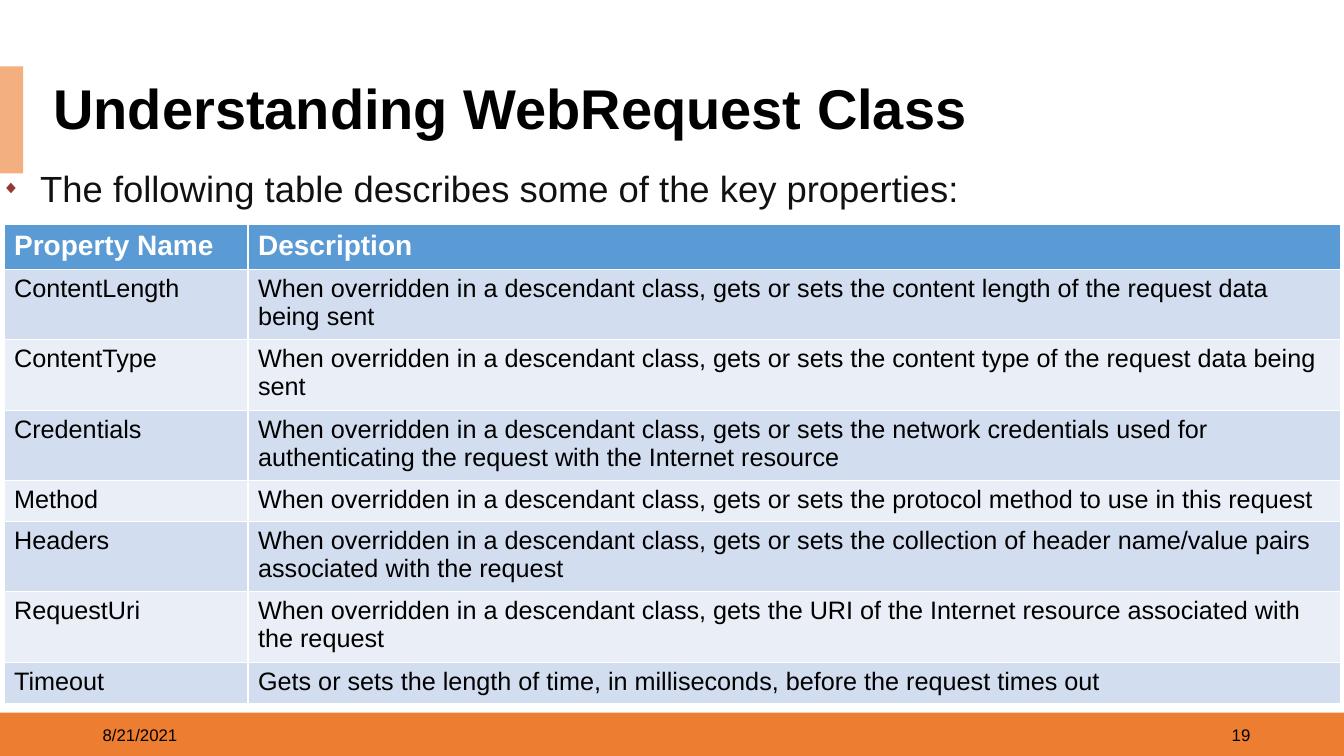
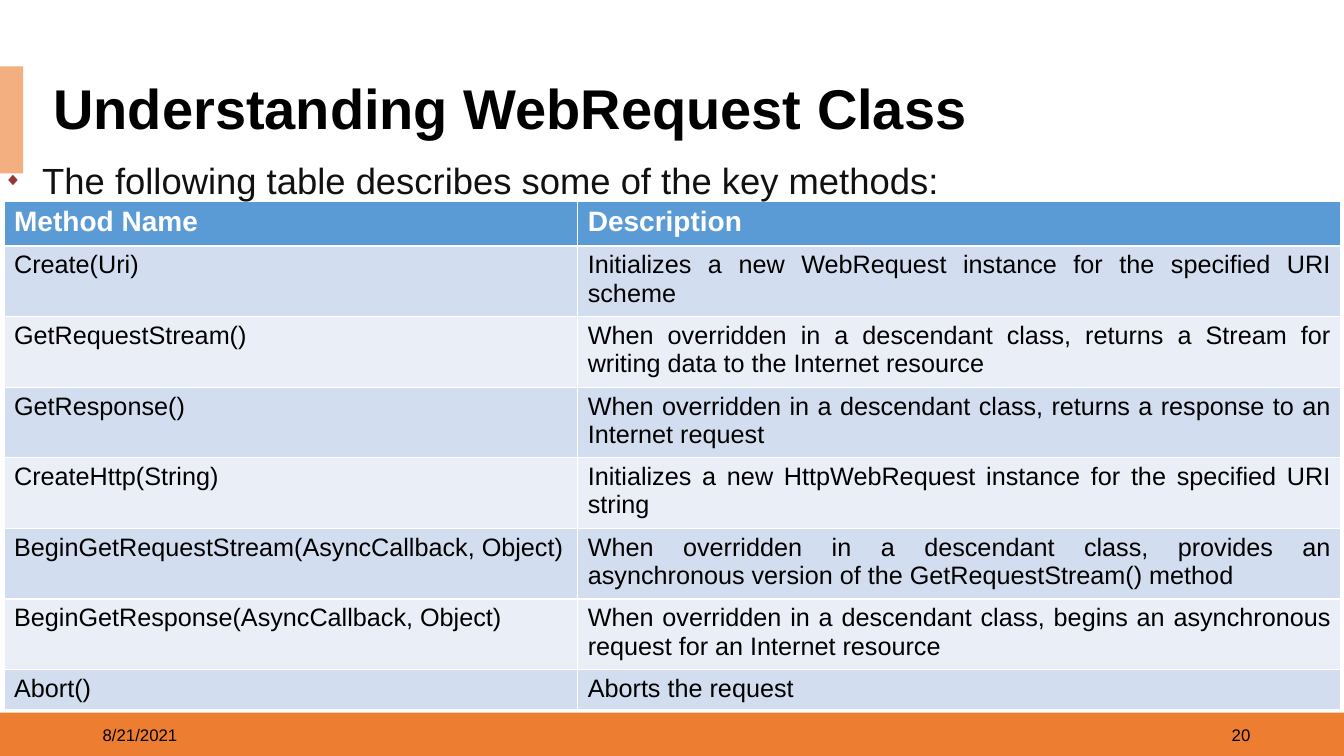
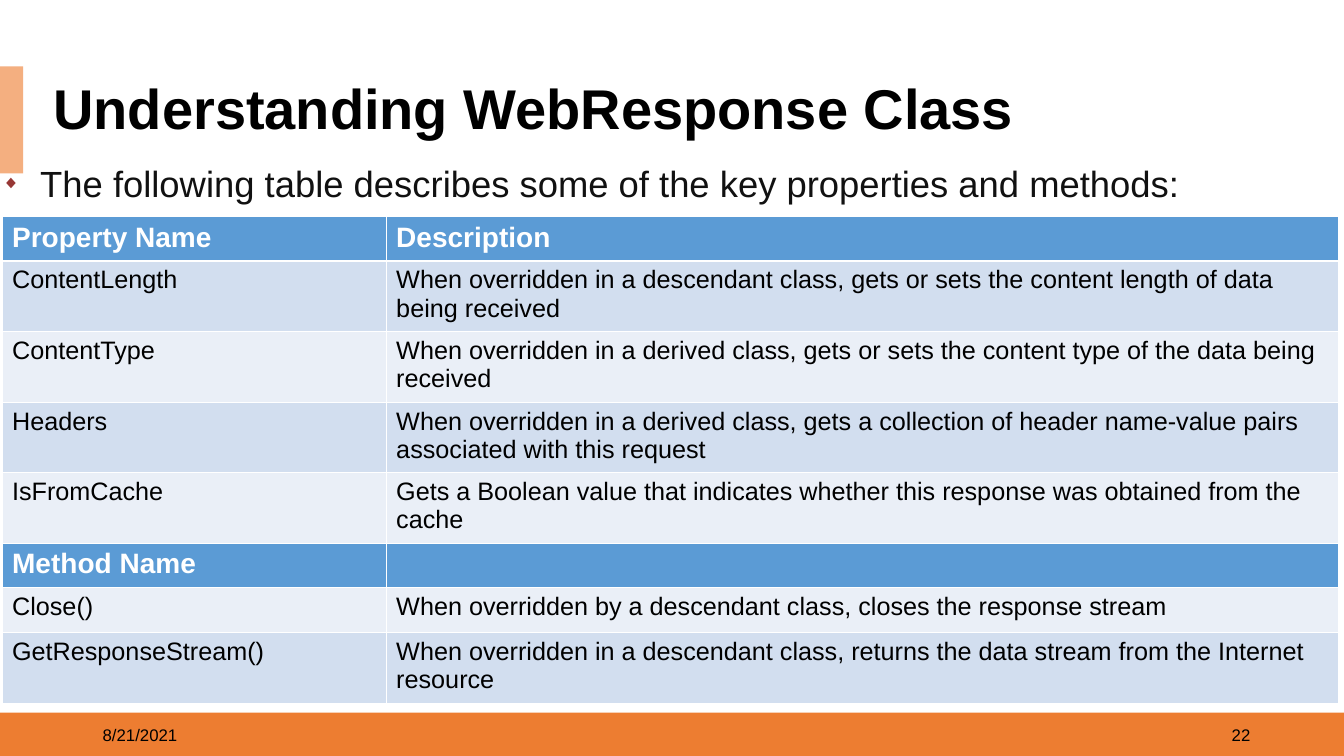
from lxml.etree import SubElement
from pptx import Presentation
from pptx.dml.color import RGBColor
from pptx.enum.shapes import MSO_SHAPE
from pptx.enum.text import MSO_ANCHOR, PP_ALIGN
from pptx.oxml.ns import qn
from pptx.util import Pt

PX = 9144  # EMU per px, 100 px to the inch
COLORS = {
    "band": "ED7D31", "tab": "F4AF80", "white": "FFFFFF", "black": "000000",
    "body": "111111", "bullet": "973735",
    "header": "5B9BD5", "odd": "D2DEEF", "even": "EAEFF7",
}
DATE = "8/21/2021"
BANDS = [((0, 707, 1333, 44), "band"), ((0, 66, 23, 106), "tab")]

SLIDES = [
    {
        "title": "Understanding WebRequest Class",
        "number": "19",
        "lead": "The following table describes some of the key properties:",
        "lead_box": (-8, 160, 1259, 54),
        "table_at": (4, 223),
        "cols": (242, 1084),
        "heights": (44, 66, 66, 66, 39, 66, 66, 41),
        "align": PP_ALIGN.LEFT,
        "headers": (0,),
        "rows": [
            ("Property Name", "Description"),
            ("ContentLength", "When overridden in a descendant class, gets or sets the content length of the request data being sent"),
            ("ContentType", "When overridden in a descendant class, gets or sets the content type of the request data being sent"),
            ("Credentials", "When overridden in a descendant class, gets or sets the network credentials used for authenticating the request with the Internet resource"),
            ("Method", "When overridden in a descendant class, gets or sets the protocol method to use in this request"),
            ("Headers", "When overridden in a descendant class, gets or sets the collection of header name/value pairs associated with the request"),
            ("RequestUri", "When overridden in a descendant class, gets the URI of the Internet resource associated with the request"),
            ("Timeout", "Gets or sets the length of time, in milliseconds, before the request times out"),
        ],
    },
    {
        "title": "Understanding WebRequest Class",
        "number": "20",
        "lead": "The following table describes some of the key methods:",
        "lead_box": (-6, 152, 1028, 54),
        "table_at": (4, 200),
        "cols": (569, 757),
        "heights": (44, 66, 66, 66, 66, 66, 66, 38),
        "align": PP_ALIGN.JUSTIFY,
        "headers": (0,),
        "rows": [
            ("Method Name", "Description"),
            ("Create(Uri)", "Initializes a new WebRequest instance for the specified URI scheme"),
            ("GetRequestStream()", "When overridden in a descendant class, returns a Stream for writing data to the Internet resource"),
            ("GetResponse()", "When overridden in a descendant class, returns a response to an Internet request"),
            ("CreateHttp(String)", "Initializes a new HttpWebRequest instance for the specified URI string"),
            ("BeginGetRequestStream(AsyncCallback, Object)", "When overridden in a descendant class, provides an asynchronous version of the GetRequestStream() method"),
            ("BeginGetResponse(AsyncCallback, Object)", "When overridden in a descendant class, begins an asynchronous request for an Internet resource"),
            ("Abort()", "Aborts the request"),
        ],
    },
    {
        "title": "Understanding WebResponse Class",
        "number": "22",
        "lead": "The following table describes some of the key properties and methods:",
        "lead_box": (-8, 155, 1259, 54),
        "table_at": (2, 215),
        "cols": (381, 945),
        "heights": (44, 66, 66, 66, 66, 41, 45, 66),
        "align": PP_ALIGN.LEFT,
        "headers": (0, 5),
        "rows": [
            ("Property Name", "Description"),
            ("ContentLength", "When overridden in a descendant class, gets or sets the content length of data being received"),
            ("ContentType", "When overridden in a derived class, gets or sets the content type of the data being received"),
            ("Headers", "When overridden in a derived class, gets a collection of header name-value pairs associated with this request"),
            ("IsFromCache", "Gets a Boolean value that indicates whether this response was obtained from the cache"),
            ("Method Name", ""),
            ("Close()", "When overridden by a descendant class, closes the response stream"),
            ("GetResponseStream()", "When overridden in a descendant class, returns the data stream from the Internet resource"),
        ],
    },
]


def emu(*lengths):
    return [n * PX for n in lengths]


def write(tf, text, size=18, color="black", bold=False, align=PP_ALIGN.LEFT, anchor=MSO_ANCHOR.TOP):
    """Put one formatted paragraph in a text frame and return it."""
    tf.word_wrap = True
    tf.vertical_anchor = anchor
    p = tf.paragraphs[0]
    p.alignment = align
    if text:
        r = p.add_run()
        r.text = text
        r.font.name = "Arial"
        r.font.size = Pt(size)
        r.font.bold = bold
        r.font.color.rgb = RGBColor.from_string(COLORS[color])
    return p


prs = Presentation()
prs.slide_width, prs.slide_height = emu(1333, 750)

for data in SLIDES:
    s = prs.slides.add_slide(prs.slide_layouts[5])

    for box, color in BANDS:
        sp = s.shapes.add_shape(MSO_SHAPE.RECTANGLE, *emu(*box))
        sp.shadow.inherit = False
        sp.fill.solid()
        sp.fill.fore_color.rgb = RGBColor.from_string(COLORS[color])
        sp.line.fill.background()

    for left, text, align in ((92, DATE, PP_ALIGN.LEFT), (950, data["number"], PP_ALIGN.RIGHT)):
        sp = s.shapes.add_textbox(*emu(left, 709, 300, 40))
        write(sp.text_frame, text, size=12, align=align, anchor=MSO_ANCHOR.MIDDLE)

    title = s.shapes.title
    title.left, title.top, title.width, title.height = emu(43, 79, 1278, 63)
    title.fill.solid()
    title.fill.fore_color.rgb = RGBColor.from_string(COLORS["white"])
    p = write(title.text_frame, data["title"], size=40, bold=True, anchor=MSO_ANCHOR.MIDDLE)
    p.line_spacing = 0.9

    rows, cols, heights = data["rows"], data["cols"], data["heights"]
    box = (*data["table_at"], sum(cols), sum(heights))
    table = s.shapes.add_table(len(rows), len(cols), *emu(*box)).table
    for column, width in zip(table.columns, cols):
        column.width = width * PX
    for i, (row, height) in enumerate(zip(rows, heights)):
        table.rows[i].height = height * PX
        is_header = i in data["headers"]
        fill = "header" if is_header else "odd" if i % 2 else "even"
        for j, text in enumerate(row):
            cell = table.cell(i, j)
            cell.fill.solid()
            cell.fill.fore_color.rgb = RGBColor.from_string(COLORS[fill])
            if is_header:
                write(cell.text_frame, text, size=20, color="white", bold=True)
            else:
                write(cell.text_frame, text, align=data["align"])

    sp = s.shapes.add_textbox(*emu(*data["lead_box"]))
    p = write(sp.text_frame, data["lead"], size=26, color="body", align=PP_ALIGN.JUSTIFY)
    p.space_before = Pt(10)
    pPr = p._p.get_or_add_pPr()
    pPr.set("marL", str(38 * PX))
    pPr.set("indent", str(-38 * PX))
    SubElement(SubElement(pPr, qn("a:buClr")), qn("a:srgbClr"), val=COLORS["bullet"])
    SubElement(pPr, qn("a:buSzPct"), val="50000")
    SubElement(pPr, qn("a:buFont"), typeface="Arial")
    SubElement(pPr, qn("a:buChar"), char="◆")

prs.save("out.pptx")
